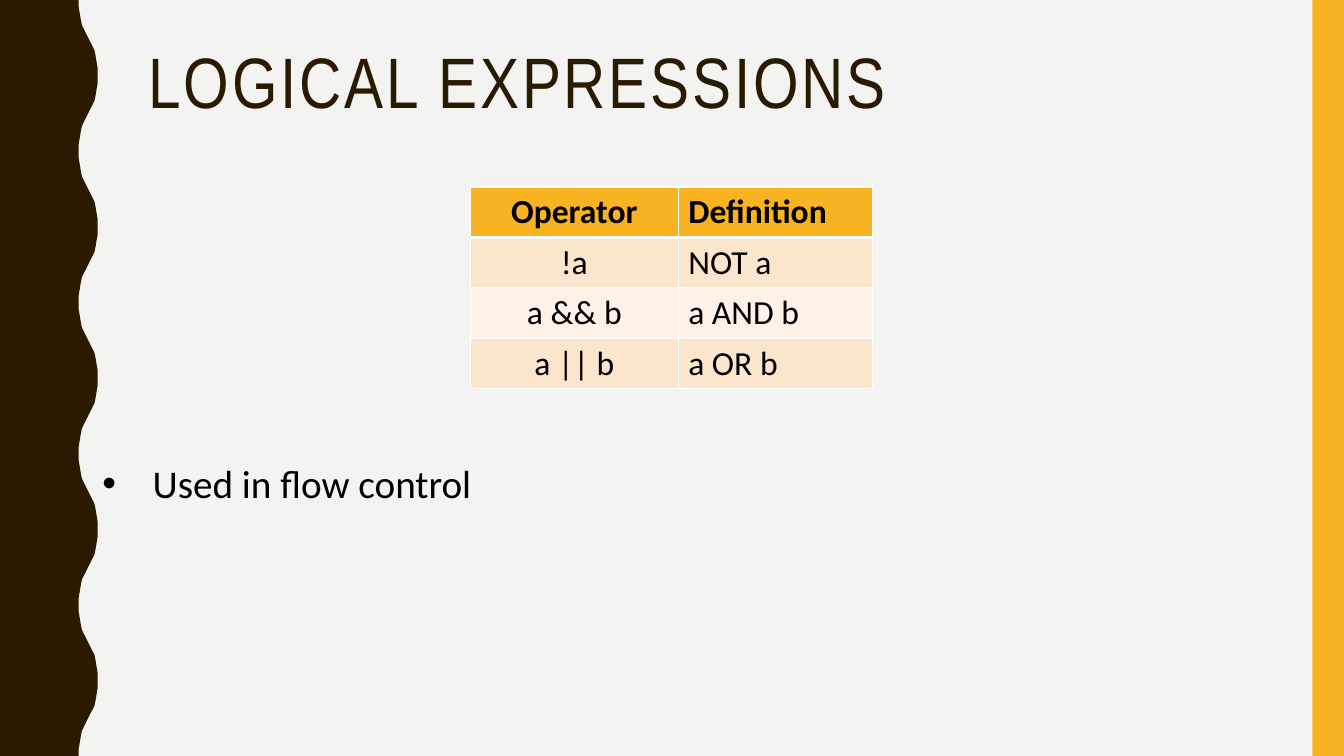
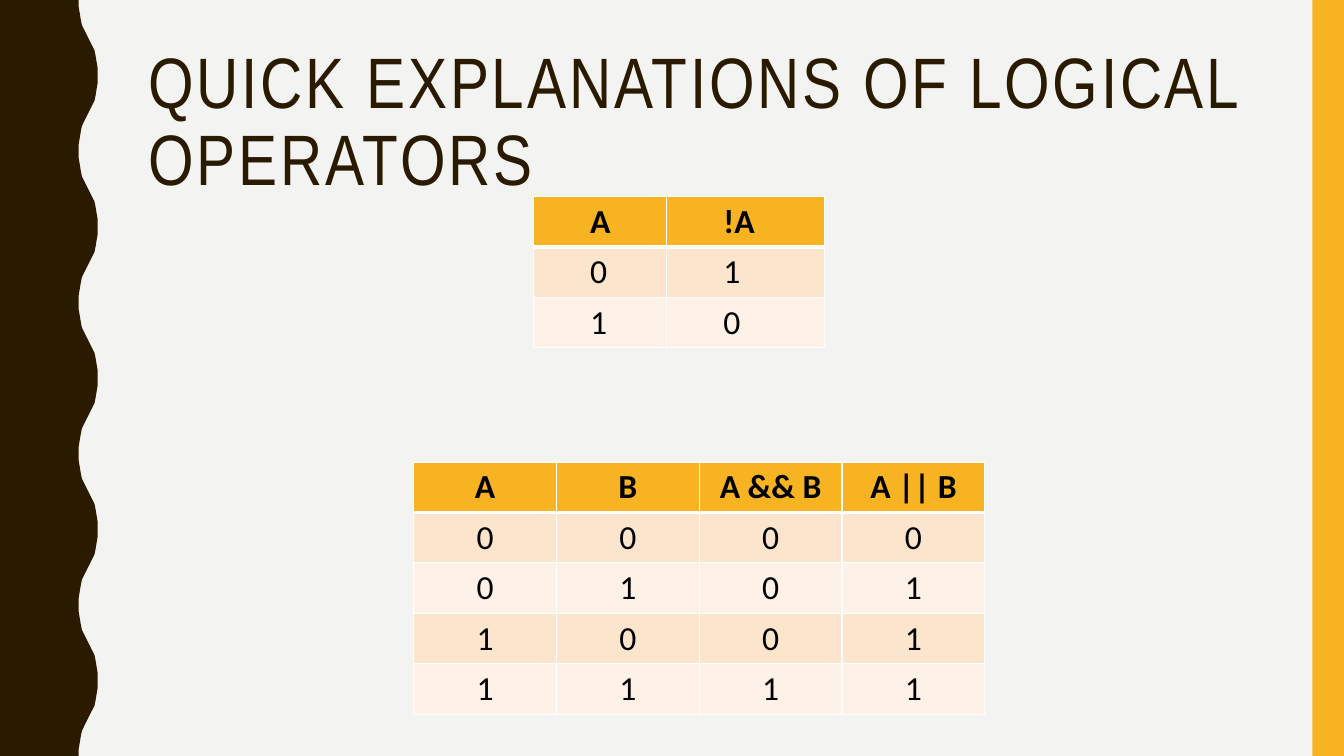
from collections import namedtuple
from dataclasses import dataclass

from lxml.etree import SubElement
from pptx import Presentation
from pptx.dml.color import RGBColor
from pptx.enum.shapes import MSO_SHAPE as Shape
from pptx.enum.text import MSO_AUTO_SIZE as AutoSize, PP_ALIGN as Align
from pptx.oxml.ns import qn
from pptx.util import Pt

PX = 9525
Box = namedtuple("Box", "left top width height")


@dataclass(frozen=True)
class Theme:
    """Colours, fonts and type sizes of the deck."""
    paper: str = "F3F3F2"
    bark: str = "2A1A00"
    amber: str = "F8B323"
    ink: str = "000000"
    rule: str = "FFFFFF"
    bands: tuple = ("FCE5CD", "FEF2E8")
    title_font: str = "Arial Narrow"
    body_font: str = "Calibri"
    title_size: int = 51
    bullet_size: int = 28
    table_size: int = 24
    title_tracking: int = 2


THEME = Theme()
SLIDE = Box(0, 0, 1280, 720)
WAVE_BAND = Box(0, 0, 93, 720)
AMBER_BAND = Box(1250, 0, 30, 720)
TITLE = Box(132, 40, 1068, 156)
ROW_HEIGHT = 48
WAVE_PERIOD = 144
WAVE_RISE = list(zip(
    (0, 0, 1, 2, 3, 5, 7, 9, 11, 13, 15, 16, 17, 18, 18),
    (0, 7, 13, 19, 24, 28, 32, 36, 40, 44, 48, 53, 59, 65, 72)))


def emu(box):
    """Turn a box in px into EMU lengths."""
    return [length * PX for length in box]


def paint(part, colour):
    """Give a shape a flat fill with no outline or shadow."""
    part.fill.solid()
    part.fill.fore_color.rgb = RGBColor.from_string(colour)
    part.line.fill.background()
    part.shadow.inherit = False


def style(paragraph, face, size, colour, bold=False):
    """Set the font of a whole paragraph."""
    font = paragraph.font
    font.name, font.size, font.bold = face, Pt(size), bold
    font.color.rgb = RGBColor.from_string(colour)


def add_text(slide, box, text):
    """Place a wrapping text box and return its frame."""
    frame = slide.shapes.add_textbox(*emu(box)).text_frame
    frame.word_wrap = True
    frame.text = text
    return frame


def add_wave_band(slide, box):
    """Draw the dark band with its wavy right edge."""
    depth = WAVE_RISE[-1][0]
    trough = box.left + box.width - depth
    fall = [(dx, WAVE_PERIOD - dy) for dx, dy in reversed(WAVE_RISE)]
    edge = [(trough + dx, box.top + start + dy)
            for start in range(0, box.height, WAVE_PERIOD)
            for dx, dy in WAVE_RISE + fall[1:]]
    outline = slide.shapes.build_freeform(box.left, box.top, scale=PX)
    outline.add_line_segments(edge + [(box.left, box.top + box.height)])
    paint(outline.convert_to_shape(), THEME.bark)


def add_title(slide, box, text):
    """Write the tracked slide title."""
    heading = add_text(slide, box, text).paragraphs[0]
    heading.line_spacing = 0.9
    style(heading, THEME.title_font, THEME.title_size, THEME.bark)
    defaults = heading._p.pPr.find(qn("a:defRPr"))
    defaults.set("spc", str(THEME.title_tracking * 100))


def add_bullet(slide, box, text, indent=48):
    """Write one bulleted line with a hanging indent."""
    frame = add_text(slide, box, text)
    frame.auto_size = AutoSize.SHAPE_TO_FIT_TEXT
    point = frame.paragraphs[0]
    margins = point._p.get_or_add_pPr()
    margins.set("marL", str(indent * PX))
    margins.set("indent", str(-indent * PX))
    SubElement(margins, qn("a:buFont")).set("typeface", "Arial")
    SubElement(margins, qn("a:buChar")).set("char", "•")
    style(point, THEME.body_font, THEME.bullet_size, THEME.ink)


def rule_cell(cell, top, bottom):
    """Draw the four borders of a cell, widths in points."""
    borders = cell._tc.get_or_add_tcPr()
    for side, width in (("L", 1), ("R", 1), ("T", top), ("B", bottom)):
        border = SubElement(borders, qn(f"a:ln{side}"), w=str(Pt(width)))
        fill = SubElement(border, qn("a:solidFill"))
        SubElement(fill, qn("a:srgbClr")).set("val", THEME.rule)


def add_operator_table(slide, left, top, widths, rows, aligns, inset=None):
    """Build a banded table with an amber header row."""
    box = Box(left, top, sum(widths), ROW_HEIGHT * len(rows))
    table = slide.shapes.add_table(len(rows), len(widths), *emu(box)).table
    for column, width in zip(table.columns, widths):
        column.width = width * PX
    for r, texts in enumerate(rows):
        header = r == 0
        band = THEME.amber if header else THEME.bands[(r - 1) % 2]
        for c, text in enumerate(texts):
            cell = table.cell(r, c)
            rule_cell(cell, 3 if r == 1 else 1, 3 if header else 1)
            cell.fill.solid()
            cell.fill.fore_color.rgb = RGBColor.from_string(band)
            if inset is not None:
                cell.margin_left = cell.margin_right = inset * PX
            cell.text = text
            entry = cell.text_frame.paragraphs[0]
            entry.alignment = aligns[c]
            style(entry, THEME.body_font, THEME.table_size, THEME.ink, header)


def add_base_slide(deck, title):
    """Add a slide with the shared background, bands and title."""
    slide = deck.slides.add_slide(deck.slide_layouts[6])
    slide.background.fill.solid()
    slide.background.fill.fore_color.rgb = RGBColor.from_string(THEME.paper)
    add_wave_band(slide, WAVE_BAND)
    amber_band = slide.shapes.add_shape(Shape.RECTANGLE, *emu(AMBER_BAND))
    paint(amber_band, THEME.amber)
    add_title(slide, TITLE, title)
    return slide


def add_expressions_slide(deck):
    """Build the slide that defines the logical operators."""
    slide = add_base_slide(deck, "LOGICAL EXPRESSIONS")
    definitions = [("Operator", "Definition"), ("!a", "NOT a"),
                   ("a && b", "a AND b"), ("a || b", "a OR b")]
    add_operator_table(slide, 448, 178, (198, 185), definitions,
                       (Align.CENTER, Align.LEFT))
    add_bullet(slide, Box(88, 433, 869, 55), "Used in flow control")


def add_truth_tables_slide(deck):
    """Build the slide with the truth tables."""
    slide = add_base_slide(deck, "QUICK EXPLANATIONS OF LOGICAL OPERATORS")
    negation = [("A", "!A"), "01", "10"]
    add_operator_table(slide, 508, 187, (127, 150), negation,
                       (Align.LEFT,) * 2, inset=54)
    pairs = [("A", "B", "A && B", "A || B"), "0000", "0101", "1001", "1111"]
    add_operator_table(slide, 394, 440, (136,) * 4, pairs,
                       (Align.CENTER,) * 4)


def main():
    """Build and save the deck."""
    deck = Presentation()
    deck.slide_width, deck.slide_height = emu(SLIDE)[2:]
    add_expressions_slide(deck)
    add_truth_tables_slide(deck)
    deck.save("out.pptx")


if __name__ == "__main__":
    main()
